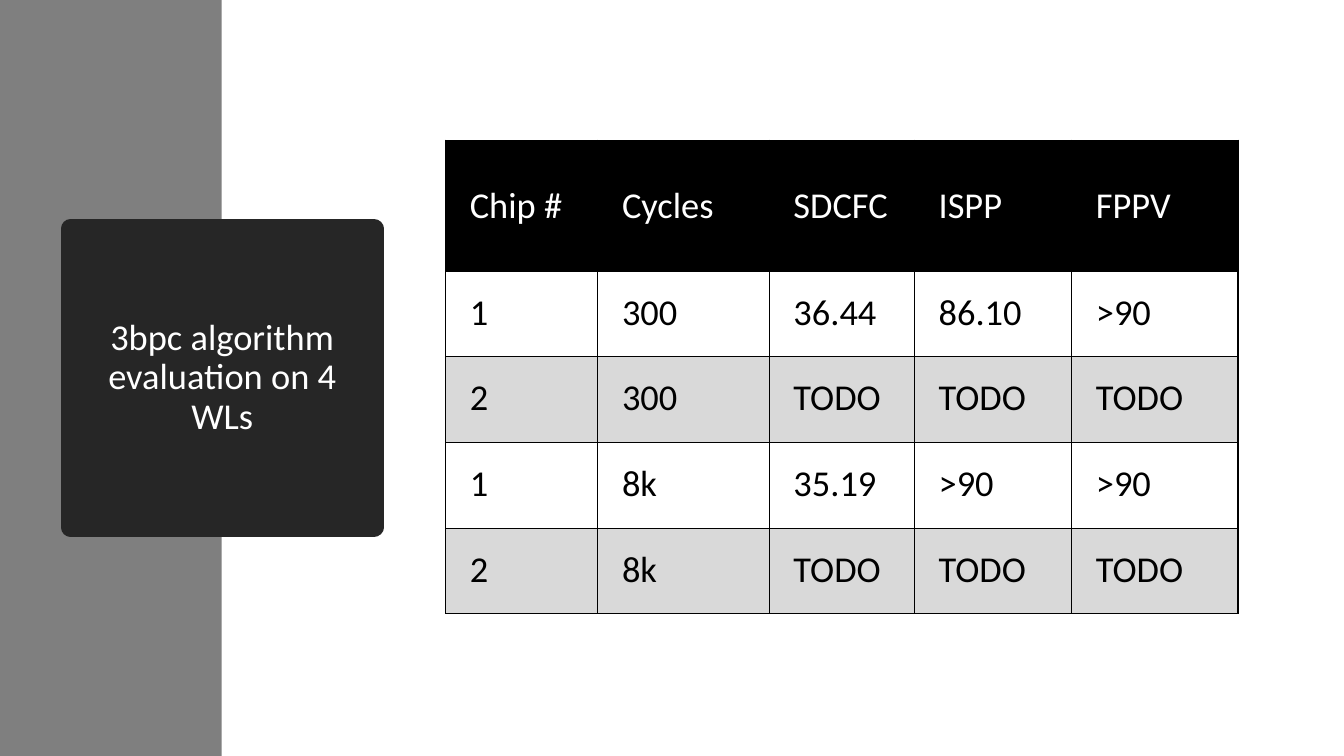
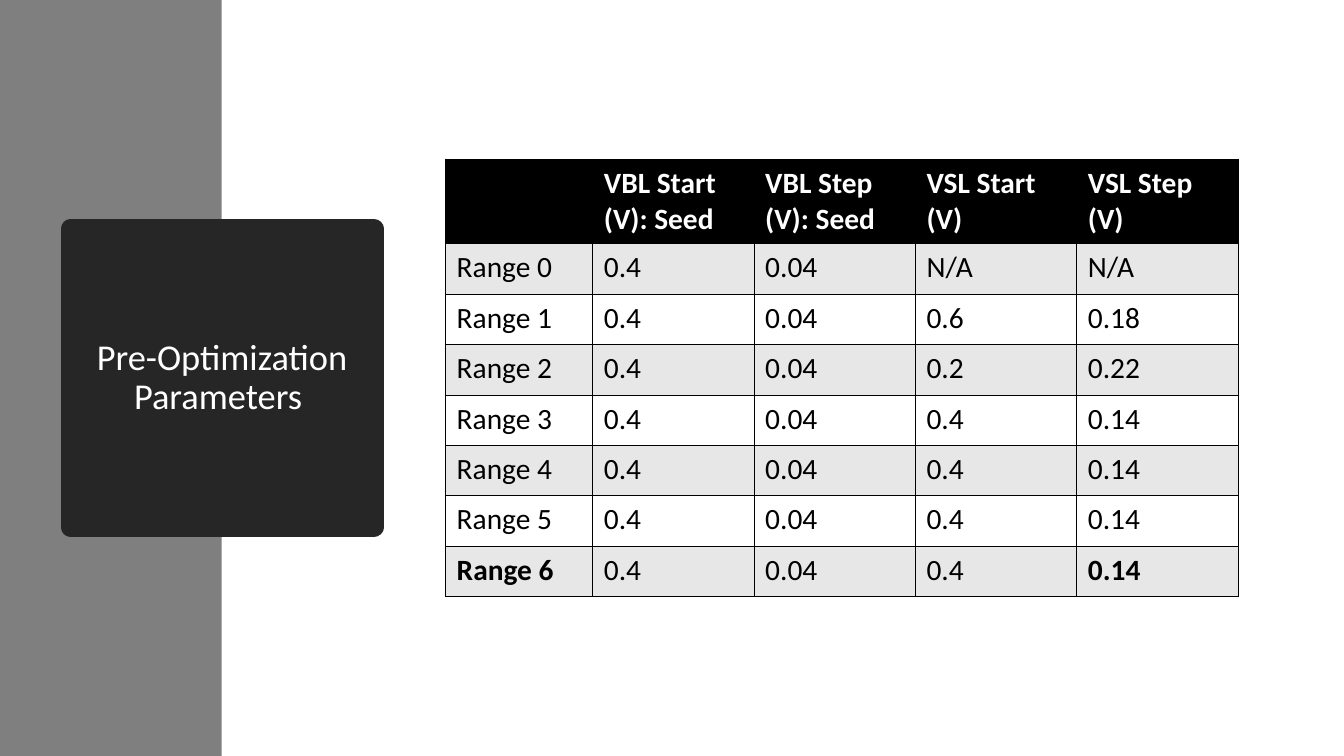
from lxml.etree import SubElement
from pptx import Presentation
from pptx.dml.color import RGBColor
from pptx.enum.shapes import MSO_SHAPE
from pptx.enum.text import MSO_ANCHOR, MSO_AUTO_SIZE, PP_ALIGN
from pptx.oxml.ns import qn
from pptx.util import Inches, Pt

BLACK = RGBColor(0x00, 0x00, 0x00)
WHITE = RGBColor(0xFF, 0xFF, 0xFF)
GRAY = RGBColor(0x7F, 0x7F, 0x7F)
DARK = RGBColor(0x26, 0x26, 0x26)
SILVER = RGBColor(0xD9, 0xD9, 0xD9)
PALE = RGBColor(0xE7, 0xE7, 0xE7)
FONT = "Calibri"

CHIPS = [
    ["Chip #", "Cycles", "SDCFC", "ISPP", "FPPV"],
    ["1", "300", "36.44", "86.10", ">90"],
    ["2", "300", "TODO", "TODO", "TODO"],
    ["1", "8k", "35.19", ">90", ">90"],
    ["2", "8k", "TODO", "TODO", "TODO"],
]
STEPS = [("N/A", "N/A"), ("0.6", "0.18"), ("0.2", "0.22")] + [("0.4", "0.14")] * 4
RANGES = [["", "VBL Start (V): Seed", "VBL Step (V): Seed",
           "VSL Start (V)", "VSL Step (V)"]]
RANGES += [[f"Range {i}", "0.4", "0.04", *pair] for i, pair in enumerate(STEPS)]


def add_run(para, text, size, color, bold=False):
    run = para.add_run()
    run.text = text
    font = run.font
    font.name, font.size, font.bold = FONT, Pt(size), bold
    font.color.rgb = color


def paint(shape, color):
    shape.fill.solid()
    shape.fill.fore_color.rgb = color


def add_band(slide, box):
    band = slide.shapes.add_shape(MSO_SHAPE.RECTANGLE, *map(Inches, box))
    paint(band, GRAY)
    band.line.fill.background()
    band.shadow.inherit = False
    slide.shapes.title.element.addprevious(band.element)


def add_title(slide, text, box):
    title = slide.shapes.title
    title.left, title.top, title.width, title.height = map(Inches, box)
    paint(title, DARK)
    title.line.color.rgb = DARK
    title.line.width = Pt(13.75)
    SubElement(title.element.spPr.find(qn("a:ln")), qn("a:round"))
    frame = title.text_frame
    frame.word_wrap = True
    frame.auto_size = MSO_AUTO_SIZE.NONE
    frame.vertical_anchor = MSO_ANCHOR.MIDDLE
    para = frame.paragraphs[0]
    para.alignment = PP_ALIGN.CENTER
    para.line_spacing = 0.9
    add_run(para, text, 26, WHITE)


def add_edges(cell):
    props = cell._tc.get_or_add_tcPr()
    for side in "LRTB":
        line = SubElement(props, qn(f"a:ln{side}"), w=str(Pt(1)))
        fill = SubElement(line, qn("a:solidFill"))
        SubElement(fill, qn("a:srgbClr"), val=str(BLACK))


def add_grid(slide, data, box, cols, head, step, size, pads, tints,
             anchor=MSO_ANCHOR.TOP, strong=False, marks=()):
    table = slide.shapes.add_table(len(data), len(cols), *map(Inches, box)).table
    table.horz_banding = False
    for col, width in zip(table.columns, cols):
        col.width = Inches(width)
    for i, texts in enumerate(data):
        table.rows[i].height = Inches(step if i else head)
        for j, text in enumerate(texts):
            cell = table.cell(i, j)
            (cell.margin_left, cell.margin_top,
             cell.margin_right, cell.margin_bottom) = map(Inches, pads)
            cell.vertical_anchor = MSO_ANCHOR.TOP if i else anchor
            add_edges(cell)
            paint(cell, tints[(i - 1) % 2] if i else BLACK)
            if text:
                bold = (i, j) in marks if i else strong
                add_run(cell.text_frame.paragraphs[0], text, size,
                        BLACK if i else WHITE, bold)


def add_page(deck, text, **grid):
    slide = deck.slides.add_slide(deck.slide_layouts[5])
    add_band(slide, (0, 0, 2.2, 7.5))
    add_title(slide, text, (0.7, 2.27, 3.01, 2.96))
    add_grid(slide, **grid)


def main():
    deck = Presentation()
    deck.slide_width, deck.slide_height = Inches(13.33), Inches(7.5)
    add_page(deck, "3bpc algorithm evaluation on 4 WLs", data=CHIPS,
             box=(4.42, 1.39, 7.86, 4.71), cols=(1.51, 1.7, 1.44, 1.56, 1.65),
             head=1.3, step=0.85, size=26, pads=(0.24, 0.19, 0.18, 0.19),
             tints=(WHITE, SILVER), anchor=MSO_ANCHOR.MIDDLE)
    add_page(deck, "Pre-Optimization Parameters ", data=RANGES,
             box=(4.42, 1.58, 7.86, 4.33), cols=(1.46, 1.6, 1.6, 1.6, 1.6),
             head=0.84, step=0.5, size=21, pads=(0.11, 0.06, 0.11, 0.06),
             tints=(PALE, WHITE), strong=True, marks=((7, 0), (7, 4)))
    deck.save("out.pptx")


if __name__ == "__main__":
    main()
